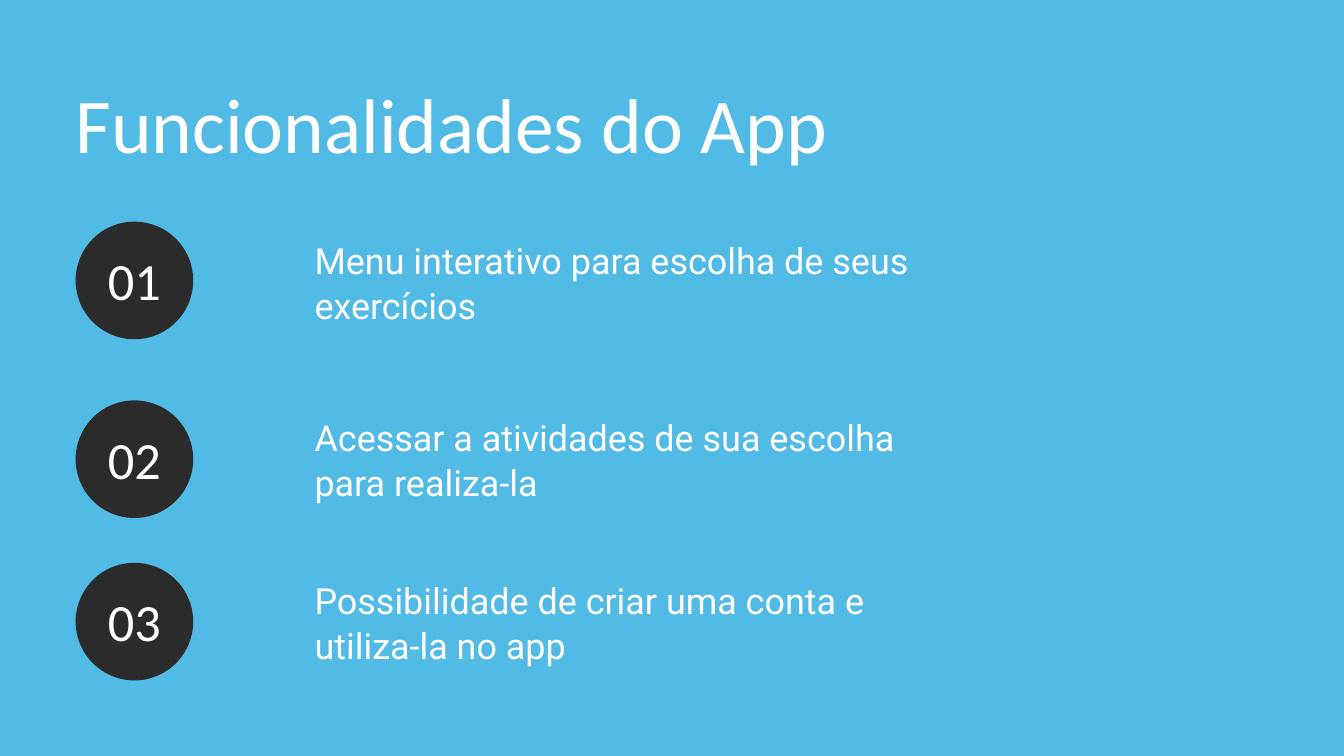
from pptx import Presentation
from pptx.dml.color import RGBColor
from pptx.enum.shapes import MSO_SHAPE as Shape
from pptx.enum.text import MSO_AUTO_SIZE as AutoSize, PP_ALIGN as Align
from pptx.util import Pt

THEME = {
    "background": RGBColor.from_string("51BAE5"),
    "circle": RGBColor.from_string("2B2B2B"),
    "text": RGBColor.from_string("FFFFFF"),
    "title": ("Calibri", 83, 99.6),
    "number": ("Calibri", 56, 56),
    "body": ("Roboto", 38.5, 48.1),
}


def add_text(shapes, text, style, left, top, width, height, align=Align.LEFT):
    font_name, size, line_spacing = THEME[style]
    box = shapes.add_textbox(Pt(left), Pt(top), Pt(width), Pt(height))
    frame = box.text_frame
    frame.margin_left = frame.margin_right = 0
    frame.margin_top = frame.margin_bottom = 0
    frame.word_wrap = True
    frame.auto_size = AutoSize.SHAPE_TO_FIT_TEXT
    paragraph = frame.paragraphs[0]
    paragraph.text = text
    paragraph.alignment = align
    paragraph.line_spacing = Pt(line_spacing)
    paragraph.font.name = font_name
    paragraph.font.size = Pt(size)
    paragraph.font.color.rgb = THEME["text"]


presentation = Presentation()
presentation.slide_width = Pt(1440)
presentation.slide_height = Pt(810)
slide = presentation.slides.add_slide(presentation.slide_layouts[6])
slide.background.fill.solid()
slide.background.fill.fore_color.rgb = THEME["background"]

LEFT = 81
DIAMETER = 126
NUMBER_WIDTH = 84
FEATURES = [
    (300.5, 253.4, "Menu interativo para escolha de seus exercícios"),
    (492, 443.5, "Acessar a atividades de sua escolha para realiza-la"),
    (666, 617.8, "Possibilidade de criar uma conta e utiliza-la no app"),
]

add_text(slide.shapes, "Funcionalidades do App", "title", LEFT, 81, 909, 99.6)

for number, (center, text_top, text) in enumerate(FEATURES, start=1):
    badge = slide.shapes.add_group_shape()
    circle = badge.shapes.add_shape(
        Shape.OVAL, Pt(LEFT), Pt(center - DIAMETER / 2), Pt(DIAMETER), Pt(DIAMETER)
    )
    circle.shadow.inherit = False
    circle.fill.solid()
    circle.fill.fore_color.rgb = THEME["circle"]
    circle.line.fill.background()
    number_left = LEFT + (DIAMETER - NUMBER_WIDTH) / 2
    add_text(badge.shapes, f"{number:02}", "number",
             number_left, center - 23, NUMBER_WIDTH, 60, Align.CENTER)
    add_text(slide.shapes, text, "body", 337, text_top, 652, 96)

presentation.save("out.pptx")
